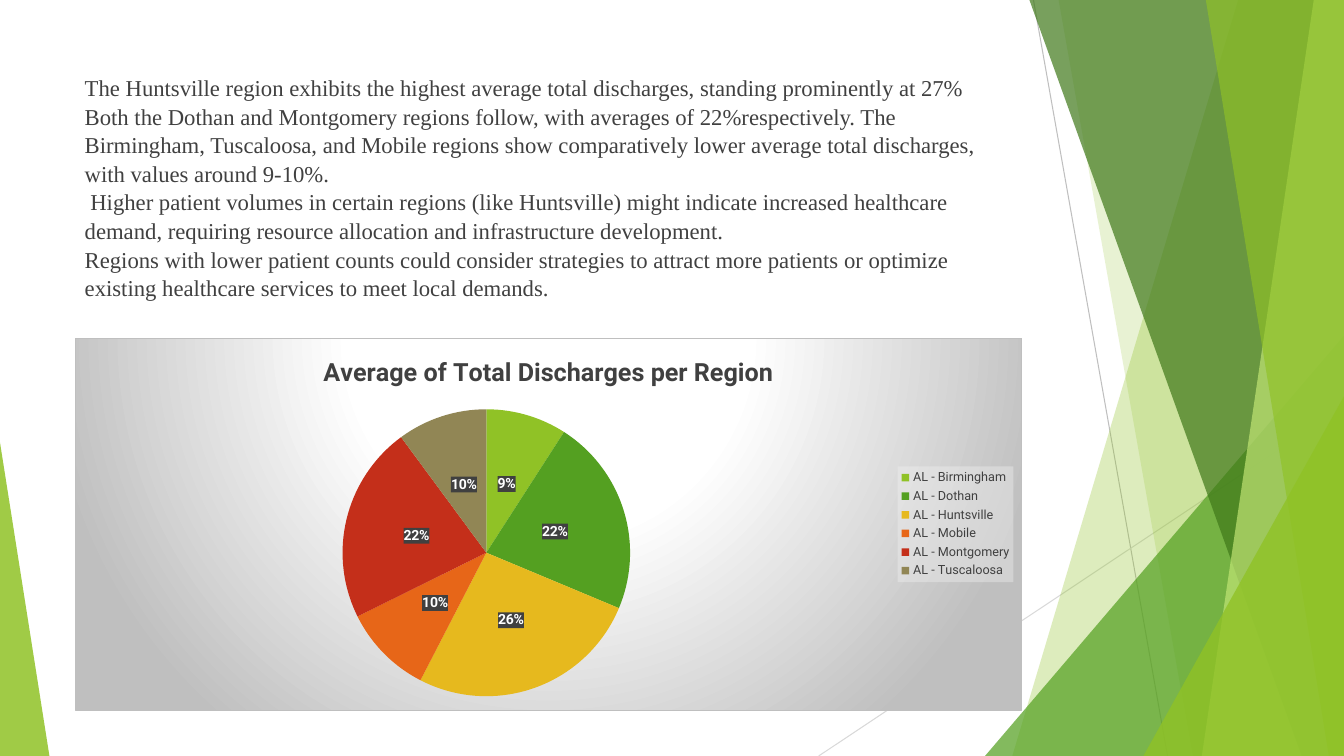
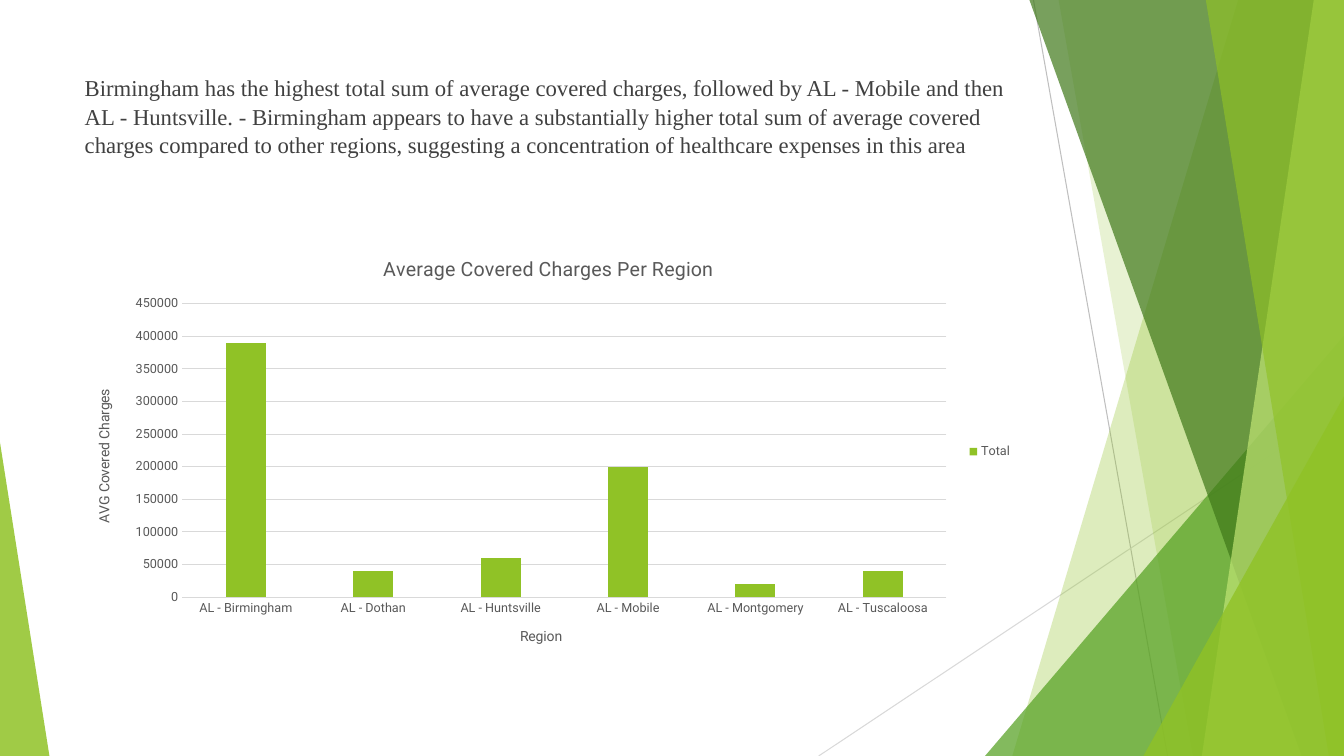
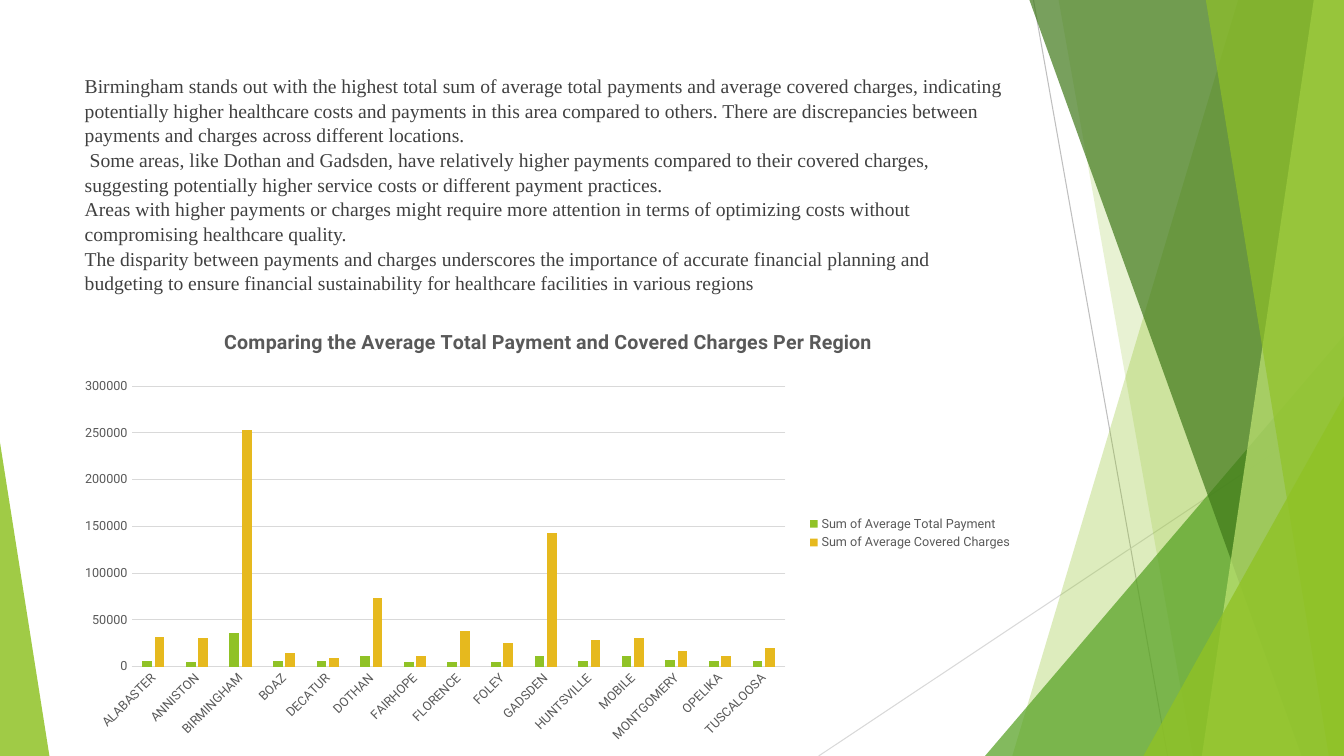
from dataclasses import dataclass
from typing import Any, Optional, Union

from lxml.etree import SubElement
from pptx import Presentation
from pptx.chart.chart import Chart
from pptx.chart.data import CategoryChartData
from pptx.dml.color import RGBColor
from pptx.enum.chart import XL_CHART_TYPE, XL_LABEL_POSITION, XL_LEGEND_POSITION, XL_TICK_MARK
from pptx.enum.shapes import MSO_CONNECTOR, MSO_SHAPE
from pptx.enum.text import MSO_ANCHOR, MSO_AUTO_SIZE, PP_ALIGN
from pptx.oxml import parse_xml
from pptx.oxml.ns import nsdecls, qn
from pptx.slide import Slide, SlideLayout
from pptx.util import Inches, Pt

COLORS = {
    "lime": "90C226",
    "green": "54A021",
    "forest": "3F7819",
    "pale": "C0E474",
    "yellow": "E6B91E",
    "orange": "E76618",
    "red": "C42F1A",
    "olive": "918655",
    "ink": "404040",
    "gray": "595959",
    "silver": "BFBFBF",
    "rule": "D9D9D9",
    "mist": "F2F2F2",
    "white": "FFFFFF",
}
PAGE_WIDTH, PAGE_HEIGHT = 13.33, 7.5
LEFT, TITLE_TOP, CONTENT_WIDTH = 0.74, 0.67, 9.4
CHART_FONT, TITLE_FONT = "Roboto", "Times New Roman"
REGIONS = ["AL - Birmingham", "AL - Dothan", "AL - Huntsville",
           "AL - Mobile", "AL - Montgomery", "AL - Tuscaloosa"]
CITIES = ["ALABASTER", "ANNISTON", "BIRMINGHAM", "BOAZ", "DECATUR", "DOTHAN",
          "FAIRHOPE", "FLORENCE", "FOLEY", "GADSDEN", "HUNTSVILLE", "MOBILE",
          "MONTGOMERY", "OPELIKA", "TUSCALOOSA"]


@dataclass(frozen=True)
class Ray:
    start: tuple[float, float]
    end: tuple[float, float]
    color: str


@dataclass(frozen=True)
class Band:
    top_x: float
    bottom_x: float
    color: str
    opacity: int


@dataclass(frozen=True)
class Wedge:
    left: float
    top: float
    width: float
    tip: float
    color: str
    opacity: int


@dataclass(frozen=True)
class Series:
    name: str
    values: list[int]
    color: str = "lime"


@dataclass(frozen=True)
class ChartPage:
    statements: list[str]
    text_size: float
    text_height: float
    chart_top: float
    chart_height: float
    chart_title: str
    categories: list[str]
    series: list[Series]
    title_size: int = 14
    title_bold: bool = False
    color: str = "gray"
    axis_maximum: Optional[int] = None
    category_title: str = ""
    value_title: str = ""
    plot_box: Optional[tuple[float, float, float, float]] = None


BACKDROP = [
    Ray((10.25, 0), (11.58, 7.5), "silver"),
    Ray((13.33, 4.03), (8.12, 7.5), "rule"),
    Band(12.28, 10.04, "lime", 30),
    Band(10.5, 11.83, "lime", 20),
    Wedge(9.77, 3.33, 3.56, 1, "green", 72),
    Band(10.21, 12.91, "forest", 70),
    Band(13.03, 11.92, "pale", 70),
    Band(11.96, 13.18, "lime", 65),
    Wedge(11.34, 3.93, 1.99, 1, "lime", 80),
    Wedge(0, 4.39, 0.49, 0, "lime", 85),
]

PIE_PAGE = ChartPage(
    statements=[
        "The Huntsville region exhibits the highest average total discharges, standing prominently at 27% "
        "Both the Dothan and Montgomery regions follow, with averages of 22%respectively. The Birmingham, "
        "Tuscaloosa, and Mobile regions show comparatively lower average total discharges, with values "
        "around 9-10%.",
        " Higher patient volumes in certain regions (like Huntsville) might indicate increased healthcare "
        "demand, requiring resource allocation and infrastructure development.",
        "Regions with lower patient counts could consider strategies to attract more patients or optimize "
        "existing healthcare services to meet local demands.",
    ],
    text_size=16.2, text_height=2.28, chart_top=3.35, chart_height=3.7,
    chart_title="Average of Total Discharges per Region",
    categories=REGIONS,
    series=[Series("Series 1", [9, 22, 26, 10, 22, 10])],
    title_size=18, title_bold=True, color="ink",
)
COLUMN_PAGES = [
    ChartPage(
        statements=[
            "Birmingham has the highest total sum of average covered charges, followed by AL - Mobile and "
            "then AL - Huntsville. - Birmingham appears to have a substantially higher total sum of average "
            "covered charges compared to other regions, suggesting a concentration of healthcare expenses "
            "in this area",
        ],
        text_size=16.2, text_height=1.44, chart_top=2.36, chart_height=4.24,
        chart_title="Average Covered Charges Per Region",
        categories=REGIONS,
        series=[Series("Total", [390000, 40000, 60000, 200000, 20000, 40000])],
        axis_maximum=450000, category_title="Region", value_title="AVG Covered Charges",
    ),
    ChartPage(
        statements=[
            "Birmingham stands out with the highest total sum of average total payments and average covered "
            "charges, indicating potentially higher healthcare costs and payments in this area compared to "
            "others. There are discrepancies between payments and charges across different locations.",
            " Some areas, like Dothan and Gadsden, have relatively higher payments compared to their covered "
            "charges, suggesting potentially higher service costs or different payment practices.",
            "Areas with higher payments or charges might require more attention in terms of optimizing costs "
            "without compromising healthcare quality.",
            "The disparity between payments and charges underscores the importance of accurate financial "
            "planning and budgeting to ensure financial sustainability for healthcare facilities in various "
            "regions",
        ],
        text_size=14, text_height=1.44, chart_top=3.08, chart_height=4.42,
        chart_title="Comparing the Average Total Payment and Covered Charges Per Region",
        categories=CITIES,
        series=[
            Series("Sum of Average Total Payment",
                   [6000, 5000, 36000, 6000, 6000, 11000, 5000, 5000, 5000, 11000,
                    6000, 11000, 7000, 6000, 6000]),
            Series("Sum of Average Covered Charges",
                   [32000, 31000, 253000, 15000, 9000, 73000, 11000, 38000, 25000, 143000,
                    29000, 31000, 17000, 12000, 20000], "yellow"),
        ],
        title_bold=True, axis_maximum=300000, plot_box=(0.06, 0.17, 0.69, 0.63),
    ),
]


def rgb(name: str) -> RGBColor:
    return RGBColor.from_string(COLORS[name])


def set_attributes(target: Any, formats: dict[str, Any]) -> None:
    for name, value in formats.items():
        setattr(target, name, value)


def format_font(font: Any, size: float, color: str, name: str = CHART_FONT, bold: bool = False) -> None:
    set_attributes(font, {"size": Pt(size), "name": name, "bold": bold})
    font.color.rgb = rgb(color)


def paint(target: Any, color: str) -> None:
    target.fill.solid()
    target.fill.fore_color.rgb = rgb(color)


def draw_ray(shapes: Any, ray: Ray) -> None:
    points = [Inches(value) for value in (*ray.start, *ray.end)]
    connector = shapes.add_connector(MSO_CONNECTOR.STRAIGHT, *points)
    connector.line.color.rgb = rgb(ray.color)
    connector.line.width = Pt(0.75)
    SubElement(connector.element.spPr, qn("a:effectLst"))


def draw_panel(shapes: Any, panel: Union[Band, Wedge]) -> None:
    if isinstance(panel, Band):
        outline = shapes.build_freeform(Inches(panel.top_x), 0)
        corners = [(PAGE_WIDTH, 0), (PAGE_WIDTH, PAGE_HEIGHT), (panel.bottom_x, PAGE_HEIGHT)]
        outline.add_line_segments([(Inches(x), Inches(y)) for x, y in corners], close=True)
        shape = outline.convert_to_shape()
    else:
        shape = shapes.add_shape(MSO_SHAPE.ISOSCELES_TRIANGLE, Inches(panel.left), Inches(panel.top),
                                 Inches(panel.width), Inches(PAGE_HEIGHT - panel.top))
        shape.adjustments[0] = panel.tip
    paint(shape, panel.color)
    shape.line.fill.background()
    shape.shadow.inherit = False
    fill_color = shape.element.spPr.find(qn("a:solidFill")).find(qn("a:srgbClr"))
    SubElement(fill_color, qn("a:alpha"), val=str(panel.opacity * 1000))


def add_backdrop(slide: Slide, layout: SlideLayout) -> None:
    group = slide.shapes.add_group_shape()
    for item in BACKDROP:
        if isinstance(item, Ray):
            draw_ray(group.shapes, item)
        else:
            draw_panel(group.shapes, item)
    for number, properties in enumerate(group.element.iter(qn("p:cNvPr")), start=100):
        properties.set("id", str(number))
    layout.shapes.element.insert(2, group.element)


def write_title(slide: Slide, page: ChartPage) -> None:
    title = slide.shapes.title
    set_attributes(title, {"left": Inches(LEFT), "top": Inches(TITLE_TOP),
                           "width": Inches(CONTENT_WIDTH), "height": Inches(page.text_height)})
    frame = title.text_frame
    frame.text = "\n".join(page.statements)
    set_attributes(frame, {"word_wrap": True, "auto_size": MSO_AUTO_SIZE.NONE,
                           "vertical_anchor": MSO_ANCHOR.TOP})
    for para in frame.paragraphs:
        set_attributes(para, {"alignment": PP_ALIGN.LEFT, "line_spacing": 1.05})
        for span in para.runs:
            format_font(span.font, page.text_size, "ink", TITLE_FONT)


def write_caption(owner: Any, text: str, size: float, color: str, bold: bool = False) -> None:
    para = owner.text_frame.paragraphs[0]
    span = para.add_run()
    span.text = text
    format_font(span.font, size, color, bold=bold)


def set_area(parent: Any, content: str) -> None:
    area = parse_xml(f'<c:spPr {nsdecls("c", "a")}>{content}</c:spPr>')
    parent.find(qn("c:txPr")).addprevious(area)


def solid_fill(color: str, opacity: int = 100) -> str:
    return (f'<a:solidFill><a:srgbClr val="{COLORS[color]}">'
            f'<a:alpha val="{opacity * 1000}"/></a:srgbClr></a:solidFill>')


def add_chart(slide: Slide, page: ChartPage, kind: XL_CHART_TYPE) -> Chart:
    data = CategoryChartData()
    data.categories = page.categories
    for series in page.series:
        data.add_series(series.name, series.values)
    chart = slide.shapes.add_chart(kind, Inches(LEFT), Inches(page.chart_top),
                                   Inches(CONTENT_WIDTH), Inches(page.chart_height), data).chart
    format_font(chart.font, 10, page.color)
    set_attributes(chart, {"has_title": True, "has_legend": True})
    write_caption(chart.chart_title, page.chart_title, page.title_size, page.color, page.title_bold)
    set_attributes(chart.legend, {"position": XL_LEGEND_POSITION.RIGHT, "include_in_layout": False})
    format_font(chart.legend.font, 9, page.color)
    return chart


def add_pie_chart(slide: Slide, page: ChartPage) -> None:
    chart = add_chart(slide, page, XL_CHART_TYPE.PIE)
    stops = "".join(f'<a:gs pos="{position * 1000}"><a:srgbClr val="{COLORS[color]}"/></a:gs>'
                    for position, color in [(0, "white"), (39, "white"), (100, "silver")])
    set_area(chart.element,
             f'<a:gradFill><a:gsLst>{stops}</a:gsLst><a:path path="circle">'
             '<a:fillToRect l="50000" t="-80000" r="50000" b="180000"/></a:path></a:gradFill>'
             f'<a:ln w="9525">{solid_fill("silver")}</a:ln>')
    set_area(chart.legend.element if hasattr(chart.legend, "element")
             else chart.element.find(".//" + qn("c:legend")), solid_fill("mist", 39))
    plot = chart.plots[0]
    plot.vary_by_categories = True
    series = plot.series[0]
    for index, color in enumerate(["lime", "green", "yellow", "orange", "red", "olive"]):
        paint(series.points[index].format, color)
    labels = series.data_labels
    set_attributes(labels, {"show_percentage": True, "show_value": False, "number_format": "0%",
                            "number_format_is_linked": False, "position": XL_LABEL_POSITION.CENTER})
    format_font(labels.font, 10, "white", bold=True)
    set_area(chart.element.find(".//" + qn("c:ser")).find(qn("c:dLbls")), solid_fill("ink"))


def place_plot(chart: Chart, plot_box: tuple[float, float, float, float]) -> None:
    plot_area = chart.element.find(".//" + qn("c:plotArea"))
    for layout in plot_area.findall(qn("c:layout")):
        plot_area.remove(layout)
    sizes = "".join(f'<c:{name} val="{value}"/>' for name, value in zip("xywh", plot_box))
    plot_area.insert(0, parse_xml(
        f'<c:layout {nsdecls("c")}><c:manualLayout><c:layoutTarget val="inner"/>'
        f'<c:xMode val="edge"/><c:yMode val="edge"/>{sizes}</c:manualLayout></c:layout>'))
    category_text = chart.element.find(".//" + qn("c:catAx")).find(qn("c:txPr"))
    category_text.find(qn("a:bodyPr")).set("rot", "-2700000")


def add_column_chart(slide: Slide, page: ChartPage) -> None:
    chart = add_chart(slide, page, XL_CHART_TYPE.COLUMN_CLUSTERED)
    set_area(chart.element, "<a:noFill/><a:ln><a:noFill/></a:ln>")
    plot = chart.plots[0]
    set_attributes(plot, {"gap_width": 219, "overlap": -27, "vary_by_categories": False})
    for drawn, series in zip(plot.series, page.series):
        paint(drawn.format, series.color)
    for axis, caption in [(chart.category_axis, page.category_title), (chart.value_axis, page.value_title)]:
        set_attributes(axis, {"major_tick_mark": XL_TICK_MARK.NONE, "minor_tick_mark": XL_TICK_MARK.NONE})
        format_font(axis.tick_labels.font, 9, page.color)
        axis.has_title = bool(caption)
        if caption:
            write_caption(axis.axis_title, caption, 10, page.color)
    value_axis = chart.value_axis
    set_attributes(value_axis, {"minimum_scale": 0, "maximum_scale": page.axis_maximum,
                                "major_unit": 50000, "has_major_gridlines": True})
    value_axis.format.line.fill.background()
    for line in (chart.category_axis.format.line, value_axis.major_gridlines.format.line):
        line.color.rgb = rgb("rule")
        line.width = Pt(0.75)
    if page.plot_box:
        place_plot(chart, page.plot_box)


def main() -> None:
    deck = Presentation()
    set_attributes(deck, {"slide_width": Inches(PAGE_WIDTH), "slide_height": Inches(PAGE_HEIGHT)})
    layout = deck.slide_layouts.get_by_name("Title Only")
    pages = [PIE_PAGE, *COLUMN_PAGES]
    slides = [deck.slides.add_slide(layout) for _ in pages]
    add_backdrop(slides[0], layout)
    for slide, page in zip(slides, pages):
        write_title(slide, page)
    add_pie_chart(slides[0], PIE_PAGE)
    for slide, page in zip(slides[1:], COLUMN_PAGES):
        add_column_chart(slide, page)
    deck.save("out.pptx")


if __name__ == "__main__":
    main()
